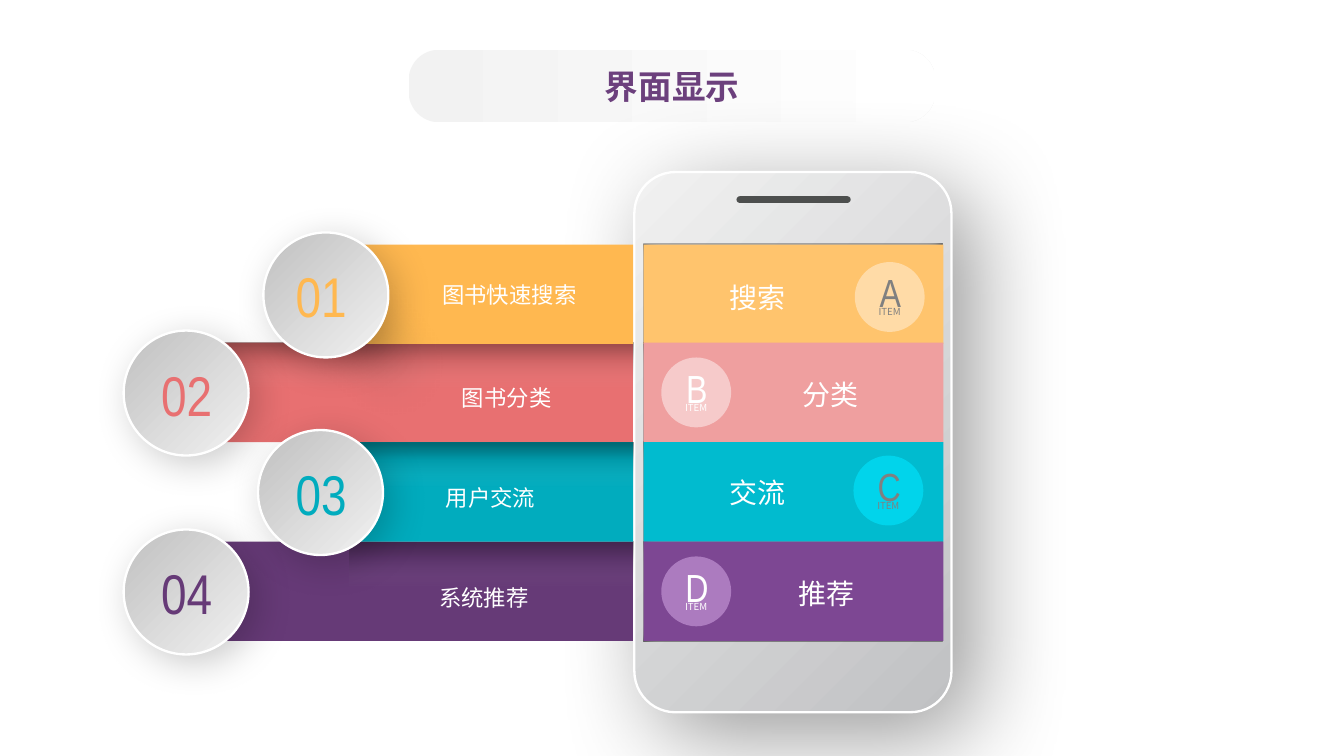
from dataclasses import dataclass

from pptx import Presentation
from pptx.dml.color import RGBColor
from pptx.enum.shapes import MSO_SHAPE as Preset
from pptx.enum.text import MSO_ANCHOR as Anchor, MSO_AUTO_SIZE as AutoSize, PP_ALIGN as Align
from pptx.oxml.ns import qn
from pptx.oxml.xmlchemy import OxmlElement as make_element
from pptx.util import Pt

PX = 9144
CJK = "Noto Sans CJK SC"
NARROW = "Arial Narrow"
WHITE = RGBColor(0xFF, 0xFF, 0xFF)
BLACK = RGBColor(0x00, 0x00, 0x00)
PALE = RGBColor(0xF2, 0xF2, 0xF2)
SILVER = RGBColor(0xBF, 0xBF, 0xBF)
GREY = RGBColor(0x80, 0x80, 0x80)
MIST = RGBColor(0xD8, 0xD8, 0xD8)
CASE_LIGHT = RGBColor(0xF1, 0xF1, 0xF1)
CASE_DARK = RGBColor(0xC0, 0xC1, 0xC3)
SPEAKER = RGBColor(0x4D, 0x4F, 0x4E)
TITLE = RGBColor(0x6C, 0x40, 0x7D)
ORANGE = RGBColor(0xFF, 0xB8, 0x50)
ORANGE_TILE = RGBColor(0xFF, 0xC4, 0x6D)
ORANGE_DISC = RGBColor(0xFF, 0xDB, 0xA7)
RED = RGBColor(0xE8, 0x70, 0x71)
RED_TILE = RGBColor(0xEF, 0x9F, 0x9F)
RED_DISC = RGBColor(0xF6, 0xCA, 0xCA)
TEAL = RGBColor(0x01, 0xAC, 0xBE)
TEAL_TILE = RGBColor(0x01, 0xBB, 0xCF)
TEAL_DISC = RGBColor(0x01, 0xE5, 0xFD)
PURPLE = RGBColor(0x66, 0x3A, 0x77)
PURPLE_TILE = RGBColor(0x7D, 0x47, 0x93)
PURPLE_DISC = RGBColor(0xAC, 0x7B, 0xBF)

ROW_TOPS = (182, 255, 329, 403)
ROW_HEIGHT = 74
BAR_RIGHT = 471
SCREEN_LEFT, SCREEN_WIDTH = 479, 223
EDGE_WIDTH = 222


@dataclass
class Band:
    """A numbered bar beside the phone."""
    number: str
    color: RGBColor
    top: int
    left: int
    disc_left: int
    number_left: int
    shade_left: int = 0
    shade_opacity: int = 34


@dataclass
class Tile:
    """A coloured row on the phone's screen."""
    letter: str
    label: str
    label_at: tuple
    caption: str
    caption_at: tuple
    color: RGBColor
    disc_color: RGBColor
    disc_at: tuple
    ink: RGBColor
    opacity: int = 100


BANDS = (
    Band("02", RED, ROW_TOPS[1], 138, 92, 106, 150),
    Band("01", ORANGE, ROW_TOPS[0], 242, 196, 206),
    Band("04", PURPLE, ROW_TOPS[3], 138, 92, 106, 260),
    Band("03", TEAL, ROW_TOPS[2], 242, 192, 206, 250, 41),
)
TILES = (
    Tile("A", "搜索", (509, 204), "图书快速搜索", (300, 198), ORANGE_TILE, ORANGE_DISC, (636, 195), GREY),
    Tile("B", "分类", (563, 276), "图书分类", (298, 275), RED_TILE, RED_DISC, (492, 266), WHITE),
    Tile("C", "交流", (509, 349), "用户交流", (286, 349), TEAL_TILE, TEAL_DISC, (635, 339), GREY, 61),
    Tile("D", "推荐", (560, 424), "系统推荐", (281, 424), PURPLE_TILE, PURPLE_DISC, (492, 414), WHITE),
)


def add_child(parent, tag, **attributes):
    """Append an XML element with the given attributes."""
    child = make_element(tag)
    for name, value in attributes.items():
        child.set(name, str(value))
    parent.append(child)
    return child


def add_color(parent, color, opacity):
    """Append a colour with its opacity in percent."""
    node = add_child(parent, "a:srgbClr", val=color)
    if opacity < 100:
        add_child(node, "a:alpha", val=opacity * 1000)


def paint_gradient(shape, stops, angle=0):
    """Fill a shape with (position, colour, opacity) stops."""
    gradient = make_element("a:gradFill")
    gradient.set("rotWithShape", "1")
    stop_list = add_child(gradient, "a:gsLst")
    for position, color, opacity in stops:
        add_color(add_child(stop_list, "a:gs", pos=position * 1000), color, opacity)
    add_child(gradient, "a:lin", ang=angle * 60000, scaled=0)
    properties = shape.element.spPr
    properties.replace(properties.find(qn("a:solidFill")), gradient)


def add_shadow(shape, opacity, blur, distance):
    """Cast a black shadow down and to the right."""
    effects = shape.element.spPr.find(qn("a:effectLst"))
    shadow = add_child(effects, "a:outerShdw", blurRad=Pt(blur), dist=Pt(distance),
                       dir=45 * 60000, algn="tl", rotWithShape=0)
    add_color(shadow, BLACK, opacity)


def soften_edge(shape, radius):
    """Fade a shape out toward its outline."""
    effects = shape.element.spPr.find(qn("a:effectLst"))
    add_child(effects, "a:softEdge", rad=Pt(radius))


def add_box(layer, preset, left, top, width, height, color=WHITE, opacity=100,
            radius=None, outline=None, turn=0):
    """Add a preset shape with a solid fill."""
    box = layer.add_shape(preset, left * PX, top * PX, width * PX, height * PX)
    box.shadow.inherit = False
    box.fill.solid()
    box.fill.fore_color.rgb = color
    if opacity < 100:
        node = box.element.spPr.find(qn("a:solidFill")).find(qn("a:srgbClr"))
        add_child(node, "a:alpha", val=opacity * 1000)
    if radius is not None:
        box.adjustments[0] = radius
    if outline is None:
        box.line.fill.background()
    else:
        box.line.color.rgb = outline
        box.line.width = Pt(1.25)
    box.rotation = turn
    return box


def write_text(frame, text, size, color, font=CJK, bold=False, spacing=None):
    """Write one centred line into a text frame."""
    frame.word_wrap = True
    para = frame.paragraphs[0]
    para.alignment = Align.CENTER
    para.line_spacing = spacing
    span = para.add_run()
    span.text = text
    span.font.size = Pt(size)
    span.font.bold = bold
    span.font.name = font
    span.font.color.rgb = color
    add_child(span.font._element, "a:ea", typeface=font)


def add_label(layer, text, left, top, width, height, **style):
    """Add a text box that grows with its text."""
    box = layer.add_textbox(left * PX, top * PX, width * PX, height * PX)
    write_text(box.text_frame, text, **style)
    box.text_frame.auto_size = AutoSize.SHAPE_TO_FIT_TEXT


def add_shade(layer, left, top, width, height, turn, middle=60, opacity=34):
    """Add a soft strip that darkens toward the side it is turned to."""
    if turn in (90, 270):
        left, top = left + (width - height) // 2, top + (height - width) // 2
        width, height = height, width
    strip = add_box(layer, Preset.RECTANGLE, left, top, width, height, turn=turn)
    paint_gradient(strip, ((0, PALE, 0), (middle, BLACK, 10), (100, BLACK, opacity)))


def add_title(page):
    """Add the heading on its fading pill."""
    pill = add_box(page.shapes, Preset.ROUNDED_RECTANGLE, 304, 37, 392, 54, radius=0.42)
    paint_gradient(pill, ((0, PALE, 100), (99, WHITE, 100)))
    pill.text_frame.vertical_anchor = Anchor.MIDDLE
    write_text(pill.text_frame, "界面显示", 18, TITLE, bold=True)


def add_phone(page):
    """Add the phone's case, speaker and screen edges."""
    layer = page.shapes.add_group_shape().shapes
    case = add_box(layer, Preset.ROUNDED_RECTANGLE, 472, 128, 236, 402, radius=0.13, outline=WHITE)
    paint_gradient(case, ((0, CASE_LIGHT, 100), (100, CASE_DARK, 100)), 45)
    add_shadow(case, 40, 54, 16)
    add_box(layer, Preset.ROUNDED_RECTANGLE, 548, 146, 85, 5, SPEAKER, radius=0.5)
    add_shade(layer, SCREEN_LEFT, 182, 13, 295, 180, 62)
    add_shade(layer, 688, 181, 13, 295, 0, 62)
    add_shade(layer, SCREEN_LEFT, 181, EDGE_WIDTH, 14, 270, 62)
    for top in ROW_TOPS[1:]:
        add_shade(layer, SCREEN_LEFT, top, EDGE_WIDTH, 22, 270, 62)
    add_shade(layer, SCREEN_LEFT, 465, EDGE_WIDTH, 12, 90, 61, 48)


def add_band(page, band):
    """Add a bar with its shade and numbered disc."""
    layer = page.shapes.add_group_shape().shapes
    add_box(layer, Preset.RECTANGLE, band.left, band.top, BAR_RIGHT - band.left, ROW_HEIGHT, band.color)
    if band.shade_left:
        add_shade(layer, band.shade_left, band.top, BAR_RIGHT - band.shade_left, 33, 270,
                  opacity=band.shade_opacity)
    else:
        cast = add_box(layer, Preset.ROUNDED_RECTANGLE, 179, 189, 186, 123, radius=0.5, turn=46)
        paint_gradient(cast, ((0, BLACK, 61), (51, BLACK, 19), (100, MIST, 0)))
        soften_edge(cast, 25)
    disc = add_box(layer, Preset.OVAL, band.disc_left, band.top - 9, 93, 93, outline=WHITE)
    paint_gradient(disc, ((0, SILVER, 100), (100, PALE, 100)), 45)
    add_shadow(disc, 20, 20, 6)
    add_label(layer, band.number, band.number_left, band.top + 8, 66, 61,
              size=30, color=band.color, font=NARROW)


def add_item(page, tile):
    """Add a lettered disc."""
    layer = page.shapes.add_group_shape().shapes
    left, top = tile.disc_at
    add_box(layer, Preset.OVAL, left, top, 52, 52, tile.disc_color, tile.opacity)
    add_label(layer, tile.letter, left + 7, top, 39, 45, size=21, color=tile.ink, font=NARROW)
    add_label(layer, "ITEM", left + 1, top + 28, 50, 19, size=5.2, color=tile.ink)


def main():
    """Build the slide and save it."""
    deck = Presentation()
    deck.slide_width = 1000 * PX
    deck.slide_height = deck.slide_width * 9 // 16
    page = deck.slides.add_slide(deck.slide_layouts[6])
    add_title(page)
    add_phone(page)
    for tile, top in zip(TILES, ROW_TOPS):
        add_box(page.shapes, Preset.RECTANGLE, SCREEN_LEFT, top, SCREEN_WIDTH, ROW_HEIGHT, tile.color)
    for band in BANDS:
        add_band(page, band)
    for tile in TILES:
        add_label(page.shapes, tile.caption, *tile.caption_at, 158, 36, size=12, color=WHITE, spacing=1.3)
        add_item(page, tile)
        add_label(page.shapes, tile.label, *tile.label_at, 110, 37, size=15, color=WHITE)
    deck.save("out.pptx")


if __name__ == "__main__":
    main()
